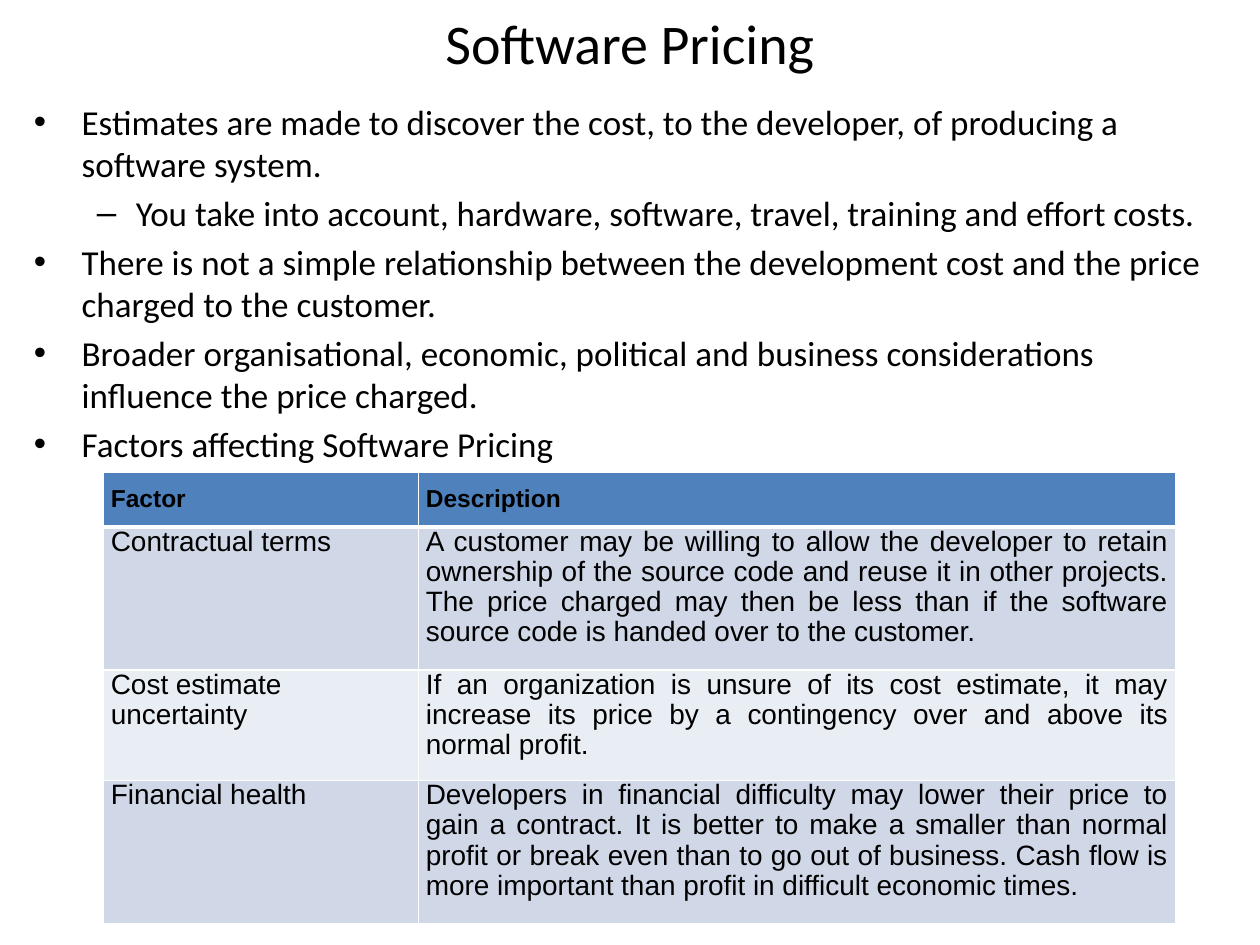
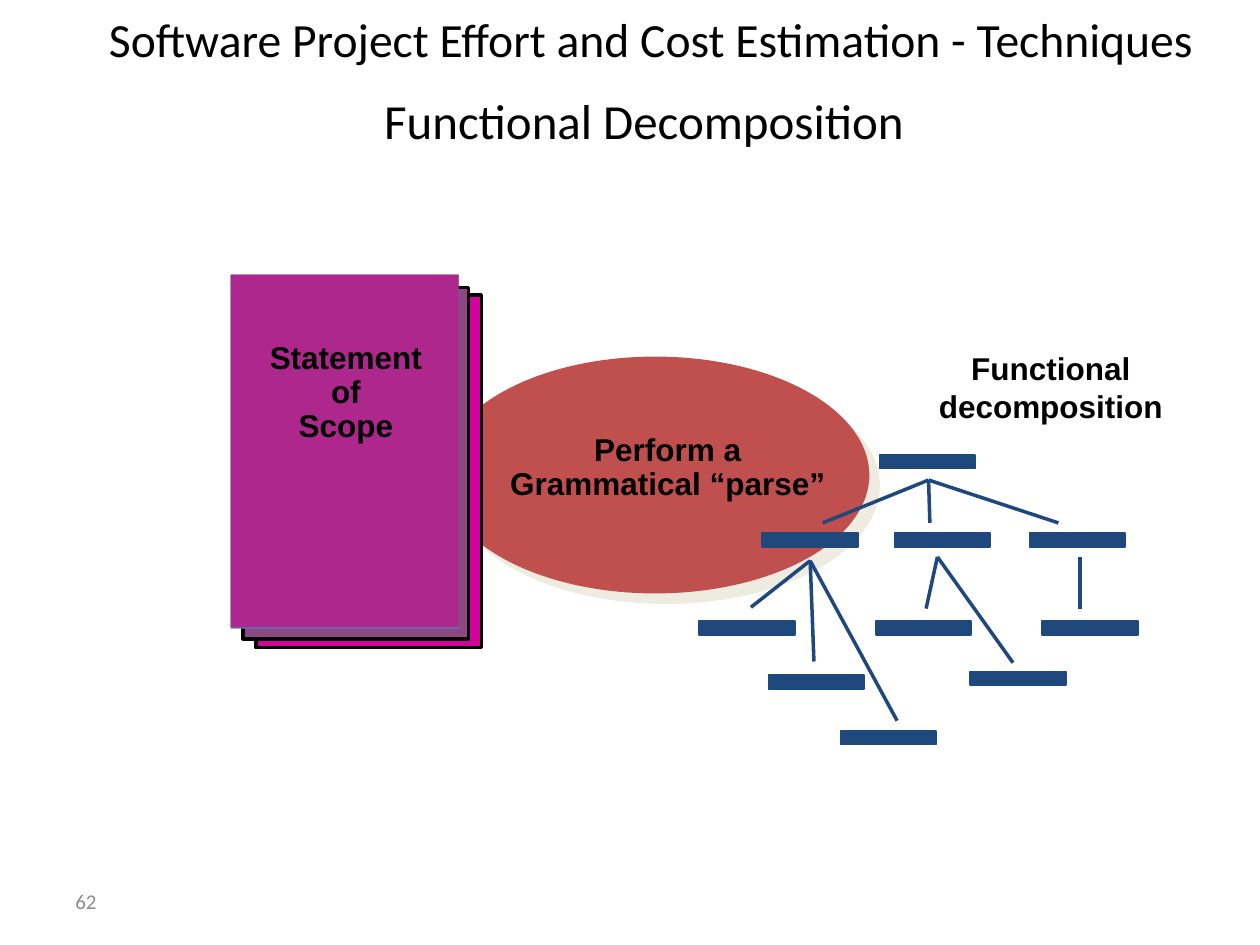
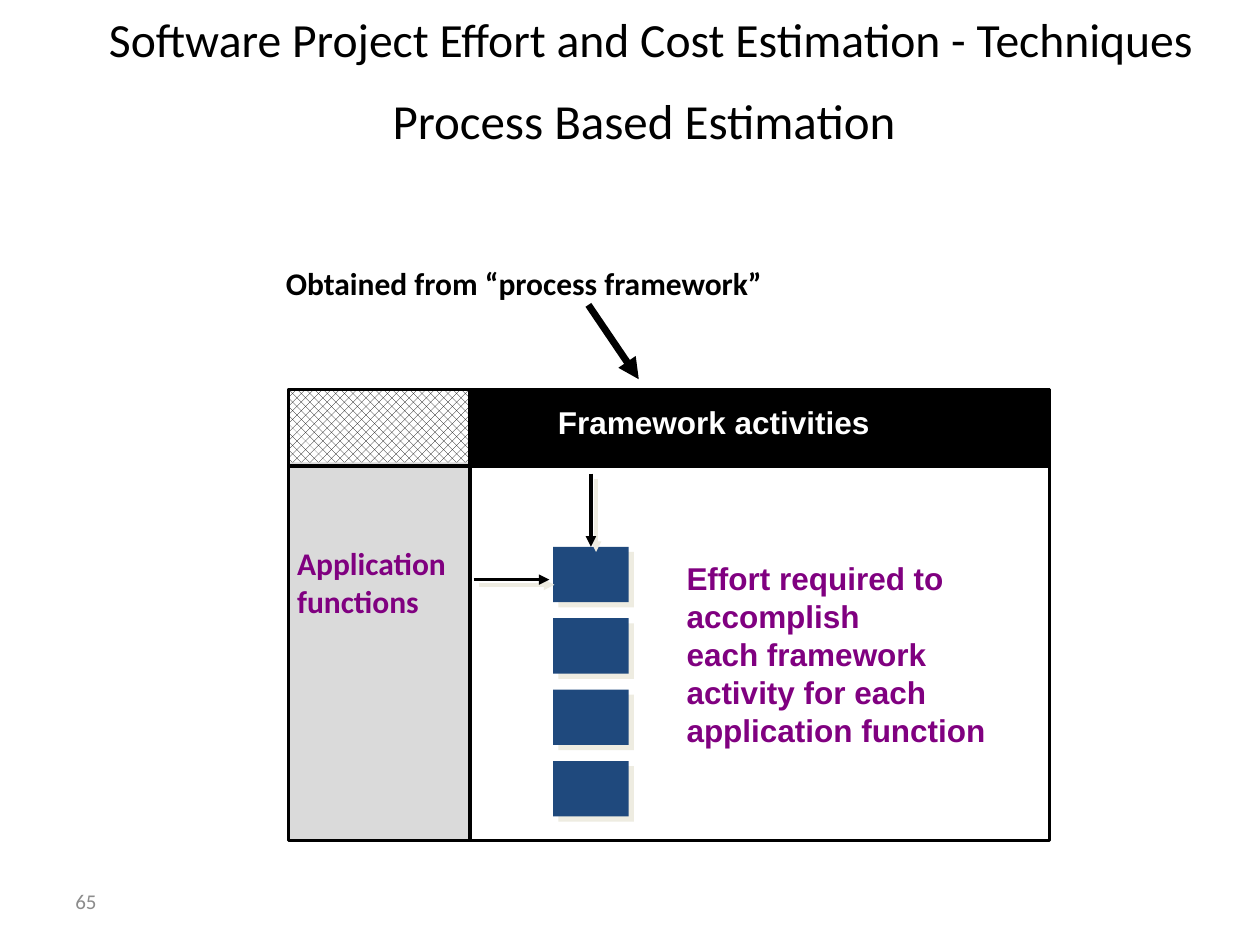
from typing import NamedTuple

from lxml import etree
from pptx import Presentation
from pptx import util as u
from pptx.dml.color import RGBColor
from pptx.enum import dml, shapes, text
from pptx.oxml import ns

BLACK, WHITE, NAVY, PURPLE = "000000", "FFFFFF", "1F497D", "800080"
BRICK, CREAM, GREY, PAGE_GREY = "C0504D", "EEECE1", "DADADA", "8C8C8C"
HEADER_BLUE, BAND_DARK, BAND_LIGHT = "4F81BD", "D0D8E8", "E9EDF4"
LEFT, CENTER, JUSTIFY = text.PP_ALIGN.LEFT, text.PP_ALIGN.CENTER, text.PP_ALIGN.JUSTIFY
TOP, MIDDLE = text.MSO_ANCHOR.TOP, text.MSO_ANCHOR.MIDDLE
RECT, OVAL = shapes.MSO_SHAPE.RECTANGLE, shapes.MSO_SHAPE.OVAL
TECHNIQUES = "Software Project Effort and Cost Estimation - Techniques"


class Box(NamedTuple):
    left: float
    top: float
    width: float
    height: float

    def inner(self, x, y, width, height):
        return Box(self.left + x, self.top + y, width, height)

    def point(self, x, y):
        return self.left + x, self.top + y

    def emu(self):
        return [u.Inches(length) for length in self]


def color(value):
    return RGBColor.from_string(value)


def child(parent, tag, **attributes):
    element = etree.SubElement(parent, ns.qn(tag))
    for key, value in attributes.items():
        element.set(key, str(value))
    return element


def write(paragraph, words, size, font="Calibri", ink=BLACK, bold=False, align=LEFT, spacing=None):
    paragraph.alignment = align
    if spacing:
        paragraph.line_spacing = spacing
    run = paragraph.add_run()
    run.text = words
    run.font.size = u.Pt(size)
    run.font.name = font
    run.font.bold = bold
    run.font.color.rgb = color(ink)


def add_label(slide, box, lines, size=18, anchor=TOP, wrap=True, **style):
    frame = slide.shapes.add_textbox(*box.emu()).text_frame
    frame.word_wrap = wrap
    if not wrap:
        frame.auto_size = text.MSO_AUTO_SIZE.SHAPE_TO_FIT_TEXT
    frame.vertical_anchor = anchor
    for index, line in enumerate(lines):
        paragraph = frame.add_paragraph() if index else frame.paragraphs[0]
        write(paragraph, line, size, **style)


def add_shadow(effects, distance):
    shadow = child(effects, "a:outerShdw", dist=u.Pt(distance), dir=2700000, algn="ctr", rotWithShape=0)
    child(shadow, "a:srgbClr", val=CREAM)


def add_block(slide, box, fill=None, line=None, weight=2, kind=RECT, shadow=0):
    block = slide.shapes.add_shape(kind, *box.emu())
    block.shadow.inherit = False
    if fill:
        block.fill.solid()
        block.fill.fore_color.rgb = color(fill)
    else:
        block.fill.background()
    if line:
        block.line.color.rgb = color(line)
        block.line.width = u.Pt(weight)
    else:
        block.line.fill.background()
    if shadow:
        add_shadow(block._element.spPr.find(ns.qn("a:effectLst")), shadow)
    return block


def add_line(slide, start, end, ink=BLACK, weight=2, arrow=False, shadow=0):
    ends = [u.Inches(length) for length in (*start, *end)]
    line = slide.shapes.add_connector(shapes.MSO_CONNECTOR.STRAIGHT, *ends)
    line.line.color.rgb = color(ink)
    line.line.width = u.Pt(weight)
    if arrow:
        child(line.line._get_or_add_ln(), "a:tailEnd", type="triangle")
    effects = child(line._element.spPr, "a:effectLst")
    if shadow:
        add_shadow(effects, shadow)
    return line


def add_titled_slide(deck, title, box, size):
    slide = deck.slides.add_slide(deck.slide_layouts[5])
    holder = slide.shapes.title
    holder.left, holder.top, holder.width, holder.height = box.emu()
    frame = holder.text_frame
    frame.auto_size = text.MSO_AUTO_SIZE.NONE
    frame.vertical_anchor = MIDDLE
    write(frame.paragraphs[0], title, size, align=CENTER)
    return slide


def add_technique_slide(deck, title, number):
    slide = add_titled_slide(deck, title, Box(1.33, 0.67, 7.56, 0.56), 28)
    add_label(slide, Box(0.67, 0, 9, 0.67), [TECHNIQUES], 27.2, MIDDLE, align=CENTER, spacing=0.9)
    add_label(slide, Box(0.5, 6.95, 2.33, 0.4), [number], 12, MIDDLE, ink=PAGE_GREY)
    return slide


def add_pricing_points(slide, box):
    points = [
        (0, "Estimates are made to discover the cost, to the developer, of producing a software system."),
        (1, "You take into account, hardware, software, travel, training and effort costs."),
        (0, "There is not a simple relationship between the development cost and the price charged to the customer."),
        (0, "Broader organisational, economic, political and business considerations influence the price charged."),
        (0, "Factors affecting Software Pricing"),
    ]
    bullets = [("•", 0.38, -0.38), ("–", 0.81, -0.31)]
    frame = slide.shapes.add_textbox(*box.emu()).text_frame
    frame.word_wrap = True
    for index, (level, point) in enumerate(points):
        paragraph = frame.add_paragraph() if index else frame.paragraphs[0]
        paragraph.level = level
        paragraph.space_before = u.Pt(4)
        write(paragraph, point, 20)
        mark, margin, indent = bullets[level]
        properties = paragraph._p.get_or_add_pPr()
        properties.set("marL", str(u.Inches(margin)))
        properties.set("indent", str(u.Inches(indent)))
        child(properties, "a:buFont", typeface="Arial")
        child(properties, "a:buChar", char=mark)


def format_cell(cell, fill, is_header):
    properties = cell._tc.get_or_add_tcPr()
    for side in "LRTB":
        weight = 3 if is_header and side == "B" else 1
        border = child(properties, f"a:ln{side}", w=u.Pt(weight))
        child(child(border, "a:solidFill"), "a:srgbClr", val=WHITE)
    cell.fill.solid()
    cell.fill.fore_color.rgb = color(fill)
    cell.margin_left = cell.margin_right = u.Inches(0.06)
    cell.margin_top = u.Inches(0.1 if is_header else 0)
    cell.margin_bottom = u.Inches(0.1)


def add_factor_table(slide, box):
    rows = [
        ("Factor", "Description"),
        ("Contractual terms",
         "A customer may be willing to allow the developer to retain ownership of the source code and "
         "reuse it in other projects. The price charged may then be less than if the software source "
         "code is handed over to the customer."),
        ("Cost estimate uncertainty",
         "If an organization is unsure of its cost estimate, it may increase its price by a contingency "
         "over and above its normal profit."),
        ("Financial health",
         "Developers in financial difficulty may lower their price to gain a contract. It is better to "
         "make a smaller than normal profit or break even than to go out of business. Cash flow is more "
         "important than profit in difficult economic times."),
    ]
    heights = [0.41, 1.09, 0.84, 1.09]
    fills = [HEADER_BLUE, BAND_DARK, BAND_LIGHT, BAND_DARK]
    table = slide.shapes.add_table(len(rows), 2, *box.emu()).table
    for column, width in zip(table.columns, (2.5, box.width - 2.5)):
        column.width = u.Inches(width)
    for r, (row, height, fill) in enumerate(zip(rows, heights, fills)):
        table.rows[r].height = u.Inches(height)
        is_header = r == 0
        for c, words in enumerate(row):
            cell = table.cell(r, c)
            format_cell(cell, fill, is_header)
            write(cell.text_frame.paragraphs[0], words, 14 if is_header else 16, "Arial",
                  bold=is_header, align=JUSTIFY if is_header or c else LEFT,
                  spacing=None if is_header else 0.97)


def add_scope_sheets(slide, box):
    sheets = [
        (0.2, 0.16, 1.79, 2.81, HEADER_BLUE, None),
        (0.2, 0.16, 1.79, 2.8, "D1039B", BLACK),
        (0.1, 0.1, 1.79, 2.79, "8C4881", BLACK),
        (0, 0, 1.81, 2.81, HEADER_BLUE, None),
        (0, 0, 1.81, 2.8, "AD278D", None),
    ]
    for *place, fill, line in sheets:
        add_block(slide, box.inner(*place), fill, line)
    add_label(slide, box.inner(0.21, 0.49, 1.41, 0.91), ["Statement", "of", "Scope"],
              font="Arial", bold=True, align=CENTER, spacing=0.9)


def add_function_tree(slide, box):
    functions = [
        (1.43, 0),
        (0.5, 0.62), (1.55, 0.62), (2.62, 0.62),
        (0, 1.32), (0.55, 1.75), (1.12, 2.19), (1.4, 1.32), (2.15, 1.72), (2.72, 1.32),
    ]
    branches = [
        ((1.82, 0.2), [(0.98, 0.54), (1.83, 0.54), (2.85, 0.54)]),
        ((0.88, 0.84), [(0.41, 1.21), (0.91, 1.64), (1.57, 2.11)]),
        ((1.89, 0.81), [(1.8, 1.22), (2.49, 1.65)]),
        ((3.02, 0.81), [(3.02, 1.22)]),
    ]
    for x, y in functions:
        add_block(slide, box.inner(x, y, 0.76, 0.11), NAVY, NAVY, 1)
    for parent, children in branches:
        for end in children:
            add_line(slide, box.point(*parent), box.point(*end), NAVY)
    add_label(slide, box.inner(1.8, -0.89, 1.98, 0.7), ["Functional", "decomposition"],
              wrap=False, font="Arial", bold=True, align=CENTER)


def add_parse_step(slide, box):
    add_block(slide, box, BRICK, kind=OVAL, shadow=8.5)


def add_framework_grid(slide, box):
    side, band = 1.44, 0.61
    main_left = 1.46
    main_width = box.width - main_left
    add_block(slide, box.inner(0.03, 0, box.width - 0.03, box.height), line=BLACK)
    add_block(slide, box.inner(0, 0, side, box.height), GREY, BLACK)
    header = box.inner(main_left, 0, main_width, band)
    add_block(slide, header, BLACK)
    add_block(slide, header, line=BLACK)
    corner = add_block(slide, box.inner(0, 0, side, 0.58), WHITE)
    corner.fill.patterned()
    corner.fill.pattern = dml.MSO_PATTERN.PERCENT_50
    corner.fill.fore_color.rgb = color(BLACK)
    corner.fill.back_color.rgb = color(WHITE)
    add_block(slide, box.inner(0, 0, side, band), line=BLACK)
    add_label(slide, box.inner(-0.03, 1.18, 1.39, 0.7), ["Application", "functions"],
              wrap=False, ink=PURPLE, bold=True)
    add_label(slide, box.inner(2.04, 0.06, 2.7, 0.4), ["Framework activities"],
              wrap=False, font="Arial", ink=WHITE, bold=True)
    add_label(slide, box.inner(3.06, 1.3, 2.68, 1.6),
              ["Effort required to accomplish", "each framework activity for each application function"],
              font="Arial", ink=PURPLE, bold=True)


def add_effort_cells(slide, box):
    pitch = (box.height - 0.44) / 3
    cells = [add_block(slide, box.inner(0, i * pitch, box.width, 0.44), NAVY, shadow=4.2) for i in range(4)]
    middle = box.width / 2
    down = add_line(slide, box.point(middle, -0.58), box.point(middle, 0), arrow=True, shadow=4.2)
    down.end_connect(cells[0], 0)
    add_line(slide, box.point(-0.63, 0.26), box.point(-0.03, 0.26), arrow=True, shadow=4.2)


def build_pricing(deck):
    slide = add_titled_slide(deck, "Software Pricing", Box(0.5, 0, 9, 0.67), 32)
    add_pricing_points(slide, Box(0.17, 0.75, 9.67, 6.58))
    add_factor_table(slide, Box(0.82, 3.75, 8.51, 3.43))


def build_decomposition(deck):
    slide = add_technique_slide(deck, "Functional Decomposition", "62")
    add_parse_step(slide, Box(3.5, 2.83, 3.4, 1.88))
    add_scope_sheets(slide, Box(1.83, 2.18, 1.99, 2.97))
    add_function_tree(slide, Box(5.55, 3.61, 3.48, 2.3))
    add_label(slide, Box(3.92, 3.4, 2.76, 0.64), ["Perform a Grammatical “parse”"],
              font="Arial", bold=True, align=CENTER, spacing=0.9)


def build_process(deck):
    slide = add_technique_slide(deck, "Process Based Estimation", "65")
    add_label(slide, Box(2.17, 2.08, 5.96, 0.46), ["Obtained from “process framework”"],
              bold=True, spacing=0.9)
    add_framework_grid(slide, Box(2.29, 3.09, 6.04, 3.58))
    add_line(slide, (4.67, 2.42), (5.07, 3.01), weight=4, arrow=True)
    add_effort_cells(slide, Box(4.39, 4.34, 0.6, 2.14))


def main():
    deck = Presentation()
    deck.slide_width, deck.slide_height = u.Inches(10), u.Inches(7.5)
    build_pricing(deck)
    build_decomposition(deck)
    build_process(deck)
    deck.save("out.pptx")


if __name__ == "__main__":
    main()
